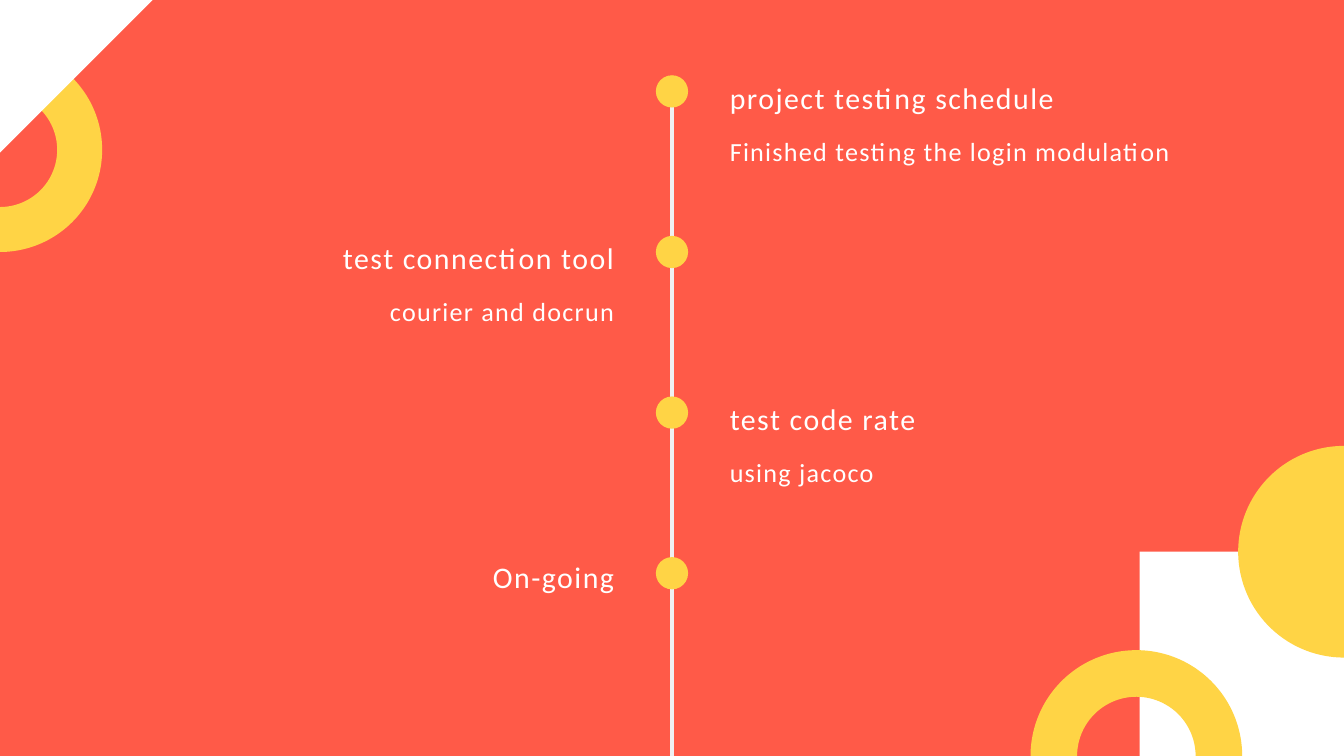
from dataclasses import dataclass
from typing import Any

from lxml.etree import SubElement
from pptx import Presentation
from pptx.dml.color import RGBColor
from pptx.enum.shapes import MSO_CONNECTOR, MSO_SHAPE
from pptx.enum.text import PP_ALIGN
from pptx.oxml.ns import qn
from pptx.slide import Slide
from pptx.util import Emu, Pt

PX = 9144


@dataclass(frozen=True)
class TextStyle:
    size: float
    leading: float
    tracking: int
    height: int


@dataclass(frozen=True)
class Theme:
    coral: RGBColor = RGBColor(0xFF, 0x5A, 0x48)
    yellow: RGBColor = RGBColor(0xFF, 0xD4, 0x45)
    white: RGBColor = RGBColor(0xFF, 0xFF, 0xFF)
    axis: RGBColor = RGBColor(0xEF, 0xF0, 0xF2)
    font: str = "Calibri"
    title: TextStyle = TextStyle(32, 44.8, 160, 59)
    detail: TextStyle = TextStyle(28, 39.2, 140, 51)


@dataclass(frozen=True)
class Ornament:
    kind: MSO_SHAPE
    cx: int
    cy: int
    size: int
    color: RGBColor
    ring: float = 0


@dataclass(frozen=True)
class Milestone:
    title: str
    detail: str = ""
    lift: int = 3


THEME = Theme()
WIDTH, HEIGHT = 2000, 1125
AXIS_X, AXIS_WIDTH = WIDTH // 2, 6
FIRST_Y, STEP, DOT = 136, 239, 48
GAP, TEXT_WIDTH, DETAIL_DROP = 86, 706, 84

ORNAMENTS = [
    Ornament(MSO_SHAPE.DONUT, 0, 223, 304, THEME.yellow, 0.22),
    Ornament(MSO_SHAPE.DIAMOND, 0, 0, 454, THEME.white),
    Ornament(MSO_SHAPE.RECTANGLE, 1848, 973, 304, THEME.white),
    Ornament(MSO_SHAPE.DONUT, 1691, 1125, 315, THEME.yellow, 0.22),
    Ornament(MSO_SHAPE.OVAL, 2000, 821, 315, THEME.yellow),
]

MILESTONES = [
    Milestone("project testing schedule", "Finished testing the login modulation"),
    Milestone("test connection tool", "courier and docrun"),
    Milestone("test code rate", "using jacoco"),
    Milestone("On-going", lift=6),
]


def px(*values: int) -> list[Emu]:
    return [Emu(round(v * PX)) for v in values]


def apply(target: Any, values: dict[str, Any]) -> None:
    for name, value in values.items():
        setattr(target, name, value)


def draw_ornament(s: Slide, o: Ornament) -> None:
    left, top = o.cx - o.size / 2, o.cy - o.size / 2
    sp = s.shapes.add_shape(o.kind, *px(left, top, o.size, o.size))
    sp.shadow.inherit = False
    sp.fill.solid()
    sp.fill.fore_color.rgb = o.color
    sp.line.fill.background()
    if o.ring:
        sp.adjustments[0] = o.ring


def draw_axis(s: Slide) -> None:
    cxn = s.shapes.add_connector(
        MSO_CONNECTOR.STRAIGHT, *px(AXIS_X, FIRST_Y, AXIS_X, HEIGHT)
    )
    cxn.line.color.rgb = THEME.axis
    cxn.line.width = px(AXIS_WIDTH)[0]
    SubElement(cxn._element.spPr, qn("a:effectLst"))


def draw_text(
    s: Slide, text: str, left: int, top: int, style: TextStyle, align: PP_ALIGN
) -> None:
    tf = s.shapes.add_textbox(*px(left, top, TEXT_WIDTH, style.height)).text_frame
    apply(tf, {
        "word_wrap": True,
        "margin_left": 0,
        "margin_top": 0,
        "margin_right": 0,
        "margin_bottom": 0,
    })
    p = tf.paragraphs[0]
    apply(p, {"alignment": align, "line_spacing": Pt(style.leading)})
    r = p.add_run()
    r.text = text
    apply(r.font, {"name": THEME.font, "size": Pt(style.size)})
    r.font.color.rgb = THEME.white
    r._r.get_or_add_rPr().set("spc", str(style.tracking))


def draw_milestone(s: Slide, index: int, m: Milestone) -> None:
    y = FIRST_Y + index * STEP
    draw_ornament(s, Ornament(MSO_SHAPE.OVAL, AXIS_X, y, DOT, THEME.yellow))
    if index % 2:
        left, align = AXIS_X - GAP - TEXT_WIDTH, PP_ALIGN.RIGHT
    else:
        left, align = AXIS_X + GAP, PP_ALIGN.LEFT
    top = y - DOT // 2 - m.lift
    draw_text(s, m.title, left, top, THEME.title, align)
    if m.detail:
        draw_text(s, m.detail, left, top + DETAIL_DROP, THEME.detail, align)


def main() -> None:
    prs = Presentation()
    prs.slide_width, prs.slide_height = px(WIDTH, HEIGHT)
    s = prs.slides.add_slide(prs.slide_layouts[6])
    s.background.fill.solid()
    s.background.fill.fore_color.rgb = THEME.coral
    for ornament in ORNAMENTS:
        draw_ornament(s, ornament)
    draw_axis(s)
    for index, milestone in enumerate(MILESTONES):
        draw_milestone(s, index, milestone)
    prs.save("out.pptx")


if __name__ == "__main__":
    main()
